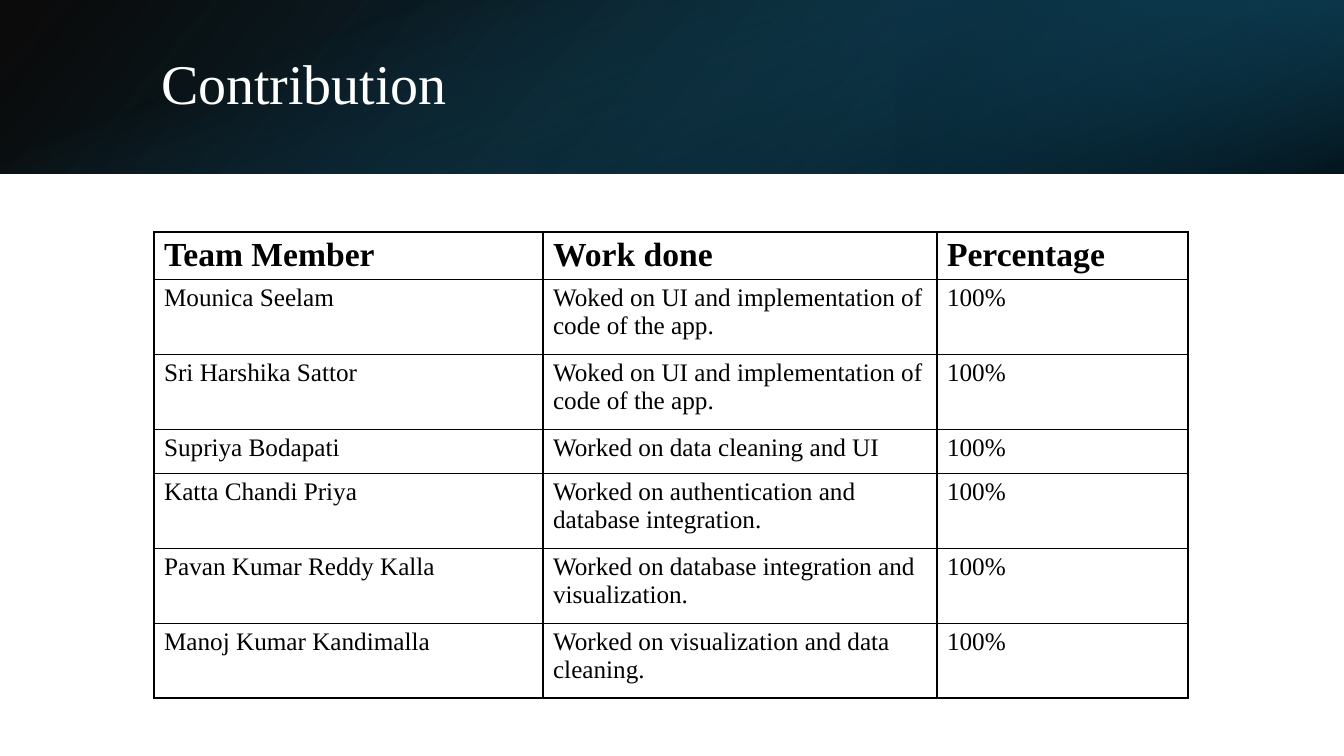
from dataclasses import dataclass

from lxml import etree
from pptx import Presentation
from pptx import util as u
from pptx.dml.color import RGBColor
from pptx.enum import shapes, text
from pptx.oxml import parse_xml
from pptx.oxml.ns import nsdecls, qn

EMU_PER_PX = 914400 / 100.8
SLIDE_W, SLIDE_H = 1344, 756
BAND_H = 174


@dataclass(frozen=True)
class Theme:
    font: str = "Times New Roman"
    title_size: int = 40
    header_size: int = 24
    body_size: int = 18
    paper: str = "FFFFFF"
    ink: str = "000000"
    teal: str = "156082"
    mid_teal: str = "104862"
    deep_teal: str = "0B3041"


THEME = Theme()

# Box in px, rotation, mirrored, gradient angle, stops (position, colour, opacity in %)
BAND_LAYERS = [
    ((0, 0, SLIDE_W, BAND_H), 0, True, 140,
     [(0, THEME.ink, 96), (100, THEME.mid_teal, 100)]),
    ((896, 0, 448, BAND_H), 180, True, 320,
     [(19, THEME.deep_teal, 68), (100, THEME.teal, 79)]),
    (((SLIDE_W - BAND_H) // 2, (BAND_H - SLIDE_W) // 2, BAND_H, SLIDE_W), 90, False, 340,
     [(23, THEME.teal, 0), (99, THEME.ink, 74)]),
]

HEADER = ("Team Member", "Work done", "Percentage")
CONTRIBUTIONS = [
    ("Mounica Seelam", "Woked on UI and implementation of code of the app."),
    ("Sri Harshika Sattor", "Woked on UI and implementation of code of the app."),
    ("Supriya Bodapati", "Worked on data cleaning and UI"),
    ("Katta Chandi Priya", "Worked on authentication and database integration."),
    ("Pavan Kumar Reddy Kalla", "Worked on database integration and visualization."),
    ("Manoj Kumar Kandimalla", "Worked on visualization and data cleaning."),
]
COL_WIDTHS = (389, 394, 251)
ROW_HEIGHTS = (44, 75, 75, 44, 75, 75, 75)


def px(n):
    return u.Emu(round(n * EMU_PER_PX))


class SlideBuilder:
    def __init__(self, prs, theme):
        self.theme = theme
        self.slide = prs.slides.add_slide(prs.slide_layouts[5])
        fill = self.slide.background.fill
        fill.solid()
        fill.fore_color.rgb = RGBColor.from_string(theme.paper)

    def style(self, p, size, color, bold=False):
        p.font.name = self.theme.font
        p.font.size = u.Pt(size)
        p.font.bold = bold
        p.font.color.rgb = RGBColor.from_string(color)

    def gradient_rect(self, box, rotation, mirrored, angle, stops):
        sp = self.slide.shapes.add_shape(shapes.MSO_SHAPE.RECTANGLE, *map(px, box))
        sp.shadow.inherit = False
        sp.line.fill.background()
        sp.rotation = rotation
        props = sp._element.spPr
        if mirrored:
            props.find(qn("a:xfrm")).set("flipH", "1")
        marks = "".join(
            f'<a:gs pos="{pos * 1000}"><a:srgbClr val="{color}">'
            f'<a:alpha val="{alpha * 1000}"/></a:srgbClr></a:gs>'
            for pos, color, alpha in stops)
        props.find(qn("a:prstGeom")).addnext(parse_xml(
            f'<a:gradFill {nsdecls("a")} rotWithShape="1"><a:gsLst>{marks}</a:gsLst>'
            f'<a:lin ang="{angle * 60000}" scaled="0"/></a:gradFill>'))

    def title(self, words, box):
        sp = self.slide.shapes.title
        sp.left, sp.top, sp.width, sp.height = map(px, box)
        tf = sp.text_frame
        tf.text = words
        tf.word_wrap = True
        tf.auto_size = text.MSO_AUTO_SIZE.NONE
        tf.vertical_anchor = text.MSO_ANCHOR.MIDDLE
        p = tf.paragraphs[0]
        p.alignment = text.PP_ALIGN.LEFT
        p.line_spacing = 0.9
        self.style(p, self.theme.title_size, self.theme.paper)
        # Bring the title in front of the band
        self.slide.shapes._spTree.append(sp._element)

    def cell_borders(self, cell):
        props = cell._tc.get_or_add_tcPr()
        for i, side in enumerate(("lnL", "lnR", "lnT", "lnB")):
            ln = etree.Element(qn(f"a:{side}"), w=str(u.Pt(1)))
            fill = etree.SubElement(ln, qn("a:solidFill"))
            etree.SubElement(fill, qn("a:srgbClr"), val=self.theme.ink)
            props.insert(i, ln)

    def table(self, rows, left, top, widths, heights):
        frame = self.slide.shapes.add_table(
            len(rows), len(widths), px(left), px(top), px(sum(widths)), px(sum(heights)))
        table = frame.table
        table.first_row = table.horz_banding = False
        for col, width in zip(table.columns, widths):
            col.width = px(width)
        for i, (row, height) in enumerate(zip(rows, heights)):
            table.rows[i].height = px(height)
            size = self.theme.body_size if i else self.theme.header_size
            for j, words in enumerate(row):
                cell = table.cell(i, j)
                cell.text = words
                cell.fill.background()
                self.style(cell.text_frame.paragraphs[0], size, self.theme.ink, bold=i == 0)
                self.cell_borders(cell)


def main():
    prs = Presentation()
    prs.slide_width, prs.slide_height = px(SLIDE_W), px(SLIDE_H)
    s = SlideBuilder(prs, THEME)
    for layer in BAND_LAYERS:
        s.gradient_rect(*layer)
    s.title("Contribution", (151, 38, 1107, 97))
    rows = [HEADER] + [(name, work, "100%") for name, work in CONTRIBUTIONS]
    s.table(rows, 154, 232, COL_WIDTHS, ROW_HEIGHTS)
    prs.save("out.pptx")


if __name__ == "__main__":
    main()
